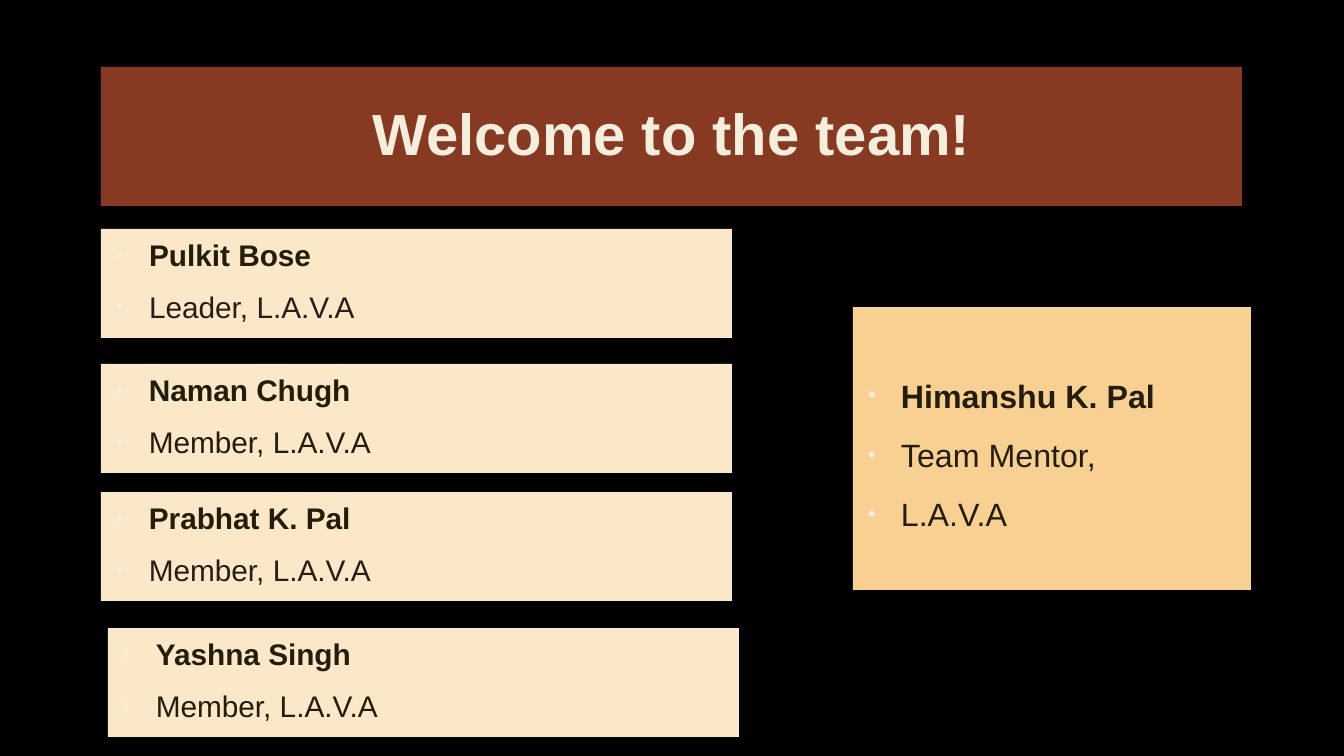
from lxml import etree
from pptx import Presentation
from pptx import util as u
from pptx.dml.color import RGBColor
from pptx.enum import shapes, text
from pptx.oxml.ns import qn

# Content
TITLE = "Welcome to the team!"
MEMBERS = [  # left, top, name, role, role colour
    (101, 229, "Pulkit Bose", "Leader, L.A.V.A", "role"),
    (101, 364, "Naman Chugh", "Member, L.A.V.A", "name"),
    (101, 492, "Prabhat K. Pal", "Member, L.A.V.A", "role"),
    (108, 628, "Yashna Singh", "Member, L.A.V.A", "name"),
]
MENTOR = ["Himanshu K. Pal", "Team Mentor,", "L.A.V.A"]

COLOURS = {
    "background": "000000", "banner": "883922", "cream": "F4EEDC",
    "member": "FBE8C8", "mentor": "F7D092",
    "name": "231D0B", "role": "271E18",
}
FONT = "Arial"
MEMBER_SIZE = (631, 109)
PX = u.Inches(1) / 100.8


def px(length):
    return u.Emu(round(length * PX))


def colour(name):
    return RGBColor.from_string(COLOURS[name])


def place(box, left, top, width, height, fill):
    box.left, box.top, box.width, box.height = map(px, (left, top, width, height))
    box.fill.solid()
    box.fill.fore_color.rgb = colour(fill)
    box.line.fill.background()
    box.text_frame.word_wrap = True
    box.text_frame.auto_size = text.MSO_AUTO_SIZE.NONE


def style(para, size, ink, bold):
    for span in para.runs:
        span.font.name, span.font.size, span.font.bold = FONT, u.Pt(size), bold
        span.font.color.rgb = colour(ink)


def add_bullet(para):
    props = para._p.get_or_add_pPr()
    props.set("marL", str(px(38)))
    props.set("indent", str(-px(33)))
    tint = etree.SubElement(props, qn("a:buClr"))
    etree.SubElement(tint, qn("a:srgbClr"), val=COLOURS["cream"])
    etree.SubElement(props, qn("a:buSzPct"), val="70000")
    etree.SubElement(props, qn("a:buFont"), typeface=FONT)
    etree.SubElement(props, qn("a:buChar"), char="•")


def fill_card(box, lines, inks, size, top_margin, before, spacing):
    frame = box.text_frame
    frame.vertical_anchor = text.MSO_ANCHOR.TOP
    frame.margin_top, frame.margin_bottom = px(top_margin), 0
    frame.text = "\n".join(lines)
    for index, (para, ink) in enumerate(zip(frame.paragraphs, inks)):
        add_bullet(para)
        para.alignment = text.PP_ALIGN.LEFT
        para.line_spacing = spacing
        para.space_before = u.Pt(before if index else 0)
        para.space_after = u.Pt(6)
        style(para, size, ink, index == 0)


def add_card(slide):
    box = slide.shapes.add_shape(shapes.MSO_SHAPE.RECTANGLE, 0, 0, 0, 0)
    box.shadow.inherit = False
    return box


def main():
    deck = Presentation()
    deck.slide_width, deck.slide_height = px(1344), px(756)
    page = deck.slides.add_slide(deck.slide_layouts[1])
    page.background.fill.solid()
    page.background.fill.fore_color.rgb = colour("background")

    # Title banner
    title = page.shapes.title
    place(title, 101, 67, 1141, 139, "banner")
    title.text_frame.text = TITLE
    title.text_frame.vertical_anchor = text.MSO_ANCHOR.MIDDLE
    heading = title.text_frame.paragraphs[0]
    heading.alignment = text.PP_ALIGN.CENTER
    heading.line_spacing = 0.9
    style(heading, 41.4, "cream", True)

    # Team members: the first card is the body placeholder
    for index, (left, top, name, role, ink) in enumerate(MEMBERS):
        box = add_card(page) if index else page.placeholders[1]
        place(box, left, top, *MEMBER_SIZE, "member")
        fill_card(box, [name, role], ["name", ink], 21.3, 8, 5.6, 1.0)

    # Mentor
    box = add_card(page)
    place(box, 853, 307, 398, 283, "mentor")
    fill_card(box, MENTOR, ["name"] * len(MENTOR), 23, 65, 6, 1.1)

    deck.save("out.pptx")


if __name__ == "__main__":
    main()
